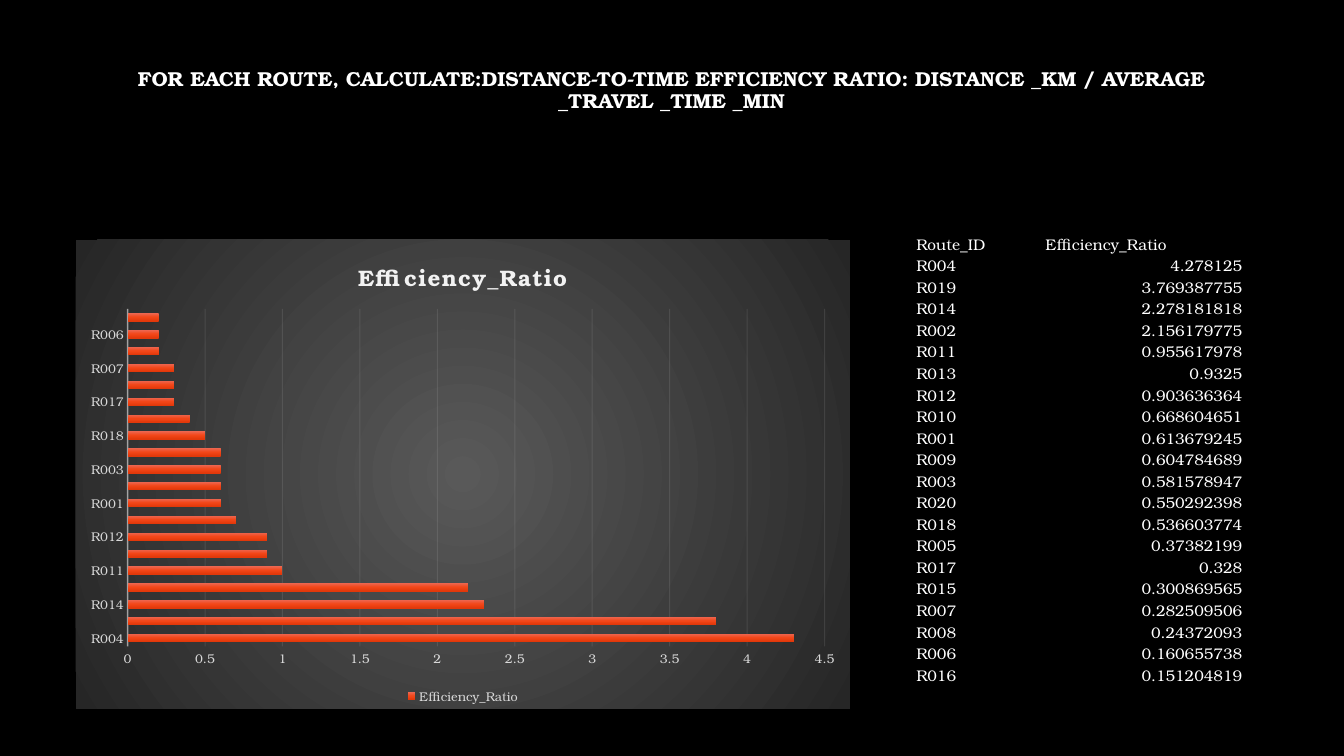
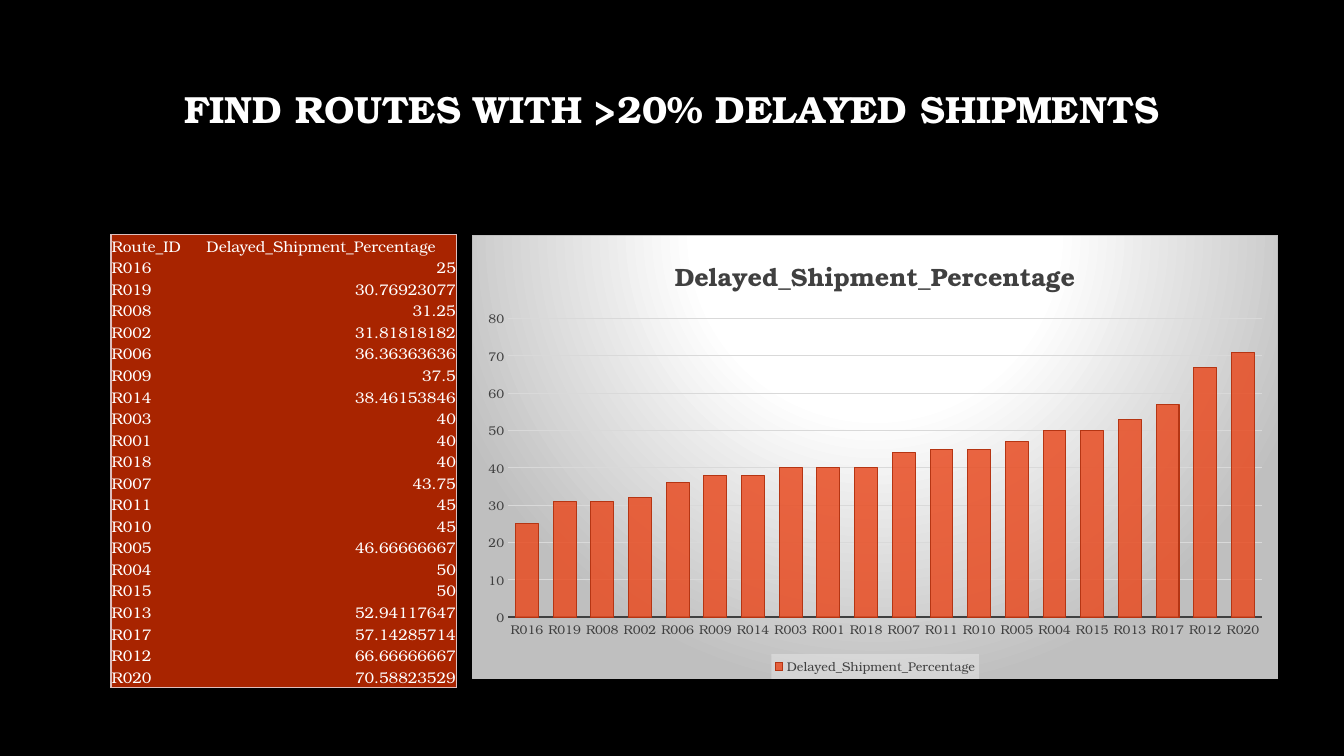
from dataclasses import dataclass

from pptx import Presentation
from pptx.chart.data import CategoryChartData
from pptx.dml.color import RGBColor
from pptx.enum.chart import XL_CHART_TYPE, XL_LEGEND_POSITION, XL_TICK_MARK
from pptx.enum.text import MSO_ANCHOR, MSO_AUTO_SIZE, PP_ALIGN
from pptx.oxml import parse_xml
from pptx.oxml.ns import nsdecls, qn
from pptx.util import Inches, Pt

BAR, COLUMN = XL_CHART_TYPE.BAR_CLUSTERED, XL_CHART_TYPE.COLUMN_CLUSTERED
BOTTOM_LEGEND = XL_LEGEND_POSITION.BOTTOM
NO_TICK = XL_TICK_MARK.NONE
MIDDLE, BOTTOM = MSO_ANCHOR.MIDDLE, MSO_ANCHOR.BOTTOM
NO_AUTOFIT = MSO_AUTO_SIZE.NONE
LEFT, CENTER, RIGHT = PP_ALIGN.LEFT, PP_ALIGN.CENTER, PP_ALIGN.RIGHT
PLAIN_TABLE = "{2D5ABB26-0587-4C30-8999-92F81FD0307C}"


@dataclass(frozen=True)
class Theme:
    font: str = "TeX Gyre Bonum"
    background: str = "000000"
    text: str = "FFFFFF"
    table_fill: str = "A82400"
    table_border: str = "DDBEBD"
    pale: str = "F2F2F2"
    label_light: str = "D9D9D9"
    label_dark: str = "404040"
    chart_border: str = "BFBFBF"
    bar: str = "E84C22"
    bar_line: str = "B53513"
    table_size: float = 11
    chart_size: float = 10
    label_size: float = 9


theme = Theme()


def write(frame, text, *, size, color=theme.text, bold=False, align=LEFT, line_spacing=None, tracking=0):
    paragraph = frame.paragraphs[0]
    paragraph.alignment = align
    if line_spacing:
        paragraph.line_spacing = line_spacing
    run = paragraph.add_run()
    run.text = text
    run.font.name = theme.font
    run.font.size = Pt(size)
    run.font.bold = bold
    run.font.color.rgb = RGBColor.from_string(color)
    if tracking:
        run.font._element.set("spc", str(tracking))


def make_fill(*stops, alpha=100, direction=""):
    colors = [
        f'<a:srgbClr val="{color}"><a:alpha val="{alpha * 1000}"/></a:srgbClr>' for _, color in stops
    ]
    if len(stops) == 1:
        return parse_xml(f'<a:solidFill {nsdecls("a")}>{colors[0]}</a:solidFill>')
    marks = "".join(
        f'<a:gs pos="{place * 1000}">{color}</a:gs>' for (place, _), color in zip(stops, colors)
    )
    return parse_xml(
        f'<a:gradFill {nsdecls("a")} rotWithShape="1"><a:gsLst>{marks}</a:gsLst>{direction}</a:gradFill>'
    )


efficiency = {
    "R004": 4.278125, "R019": 3.769387755, "R014": 2.278181818, "R002": 2.156179775,
    "R011": 0.955617978, "R013": 0.9325, "R012": 0.903636364, "R010": 0.668604651,
    "R001": 0.613679245, "R009": 0.604784689, "R003": 0.581578947, "R020": 0.550292398,
    "R018": 0.536603774, "R005": 0.37382199, "R017": 0.328, "R015": 0.300869565,
    "R007": 0.282509506, "R008": 0.24372093, "R006": 0.160655738, "R016": 0.151204819,
}
delays = {
    "R016": 25, "R019": 30.76923077, "R008": 31.25, "R002": 31.81818182,
    "R006": 36.36363636, "R009": 37.5, "R014": 38.46153846, "R003": 40,
    "R001": 40, "R018": 40, "R007": 43.75, "R011": 45, "R010": 45,
    "R005": 46.66666667, "R004": 50, "R015": 50, "R013": 52.94117647,
    "R017": 57.14285714, "R012": 66.66666667, "R020": 70.58823529,
}

CIRCLE = '<a:path path="circle"><a:fillToRect l="50000" t="{}" r="50000" b="{}"/></a:path>'
DOWNWARD = '<a:lin ang="5400000" scaled="0"/>'

topics = [
    dict(
        title="FOR EACH ROUTE, CALCULATE:DISTANCE-TO-TIME EFFICIENCY RATIO: "
              "DISTANCE _KM / AVERAGE _TRAVEL _TIME _MIN",
        title_size=14.4, title_bottom=1.03, measure="Efficiency_Ratio", routes=efficiency, digits=1,
        table_at=(9.08, 2.31, 3.25, 4.04), columns=(1.28, 1.97), framed=False,
        kind=BAR, chart_at=(0.75, 2.38, 7.68, 4.65), heading_size=16, tracking=100,
        heading_color=theme.pale, label_color=theme.label_light,
        axis=(theme.pale, 54, 1), grid=(theme.pale, 10), top=4.5, step=0.5, gap=115, overlap=-20,
        backdrop=make_fill((0, "595959"), (100, "262626"), direction=CIRCLE.format(50000, 50000)),
        bars=make_fill((0, "ED6650"), (50, "F24618"), (100, "E2380A"), direction=DOWNWARD),
    ),
    dict(
        title="FIND ROUTES WITH >20% DELAYED SHIPMENTS",
        title_size=27, title_bottom=0.64, measure="Delayed_Shipment_Percentage", routes=delays, digits=0,
        table_at=(1.1, 2.33, 3.43, 4.04), columns=(0.94, 2.49), framed=True,
        kind=COLUMN, chart_at=(4.68, 2.33, 8, 4.41), heading_size=18, tracking=0,
        heading_color=theme.label_dark, label_color=theme.label_dark,
        axis=(theme.label_dark, 100, 1.5), grid=(theme.label_light, 100), top=80, step=10, gap=65, overlap=0,
        backdrop=make_fill((0, "FFFFFF"), (39, "FFFFFF"), (100, "BFBFBF"),
                           direction=CIRCLE.format(-80000, 180000)),
        bars=make_fill((0, theme.bar), alpha=85),
    ),
]

prs = Presentation()
prs.slide_width, prs.slide_height = Inches(13.33), Inches(7.5)
master_fill = prs.slide_master.background.fill
master_fill.solid()
master_fill.fore_color.rgb = RGBColor.from_string(theme.background)

for topic in topics:
    slide = prs.slides.add_slide(prs.slide_layouts[5])
    title = slide.shapes.title
    title.left, title.top, title.width, title.height = map(Inches, (1, 0.67, 11.32, 1.45))
    title_frame = title.text_frame
    title_frame.word_wrap = True
    title_frame.auto_size = NO_AUTOFIT
    title_frame.vertical_anchor = MIDDLE
    title_frame.margin_bottom = Inches(topic["title_bottom"])
    write(title_frame, topic["title"], size=topic["title_size"], bold=True, align=CENTER, line_spacing=0.9)

    rows = [("Route_ID", topic["measure"]), *topic["routes"].items()]
    table = slide.shapes.add_table(len(rows), 2, *map(Inches, topic["table_at"])).table
    table.first_row = table.horz_banding = False
    table._tbl.tblPr.find(qn("a:tableStyleId")).text = PLAIN_TABLE
    for column, width in zip(table.columns, topic["columns"]):
        column.width = Inches(width)
    for r, row in enumerate(rows):
        for c, value in enumerate(row):
            cell = table.cell(r, c)
            cell.margin_left = cell.margin_right = cell.margin_top = Pt(0.6)
            cell.margin_bottom = 0
            cell.vertical_anchor = BOTTOM
            write(cell.text_frame, str(value), size=theme.table_size, align=RIGHT if r and c else LEFT)
            if not topic["framed"]:
                cell.fill.background()
                continue
            cell.fill.solid()
            cell.fill.fore_color.rgb = RGBColor.from_string(theme.table_fill)
            edges = {"lnL": c == 0, "lnR": c == 1, "lnT": r == 0, "lnB": r == len(rows) - 1}
            for place, edge in enumerate(edge for edge, outer in edges.items() if outer):
                border = parse_xml(f'<a:{edge} {nsdecls("a")} w="{Pt(1)}"/>')
                border.append(make_fill((0, theme.table_border)))
                cell._tc.get_or_add_tcPr().insert(place, border)

    chart_data = CategoryChartData()
    chart_data.categories = list(topic["routes"])
    chart_data.add_series(
        topic["measure"], [round(value, topic["digits"]) for value in topic["routes"].values()]
    )
    chart = slide.shapes.add_chart(topic["kind"], *map(Inches, topic["chart_at"]), chart_data).chart
    chart.font.name = theme.font
    chart.font.size = Pt(theme.chart_size)
    chart.font.color.rgb = RGBColor.from_string(theme.text)
    chart.has_title = True
    write(chart.chart_title.text_frame, topic["measure"], size=topic["heading_size"],
          color=topic["heading_color"], bold=True, align=CENTER, tracking=topic["tracking"])

    backdrop = parse_xml(f'<c:spPr {nsdecls("c", "a")}><a:ln w="{Pt(0.75)}"/></c:spPr>')
    backdrop.insert(0, topic["backdrop"])
    outline = make_fill((0, theme.chart_border)) if topic["framed"] else parse_xml(f'<a:noFill {nsdecls("a")}/>')
    backdrop[1].append(outline)
    chart._chartSpace.chart.addnext(backdrop)

    plot = chart.plots[0]
    plot.vary_by_categories = False
    plot.gap_width = topic["gap"]
    plot.overlap = topic["overlap"]
    series = plot.series[0]
    series.invert_if_negative = False
    series._element.get_or_add_spPr().insert(0, topic["bars"])
    if topic["framed"]:
        series.format.line.width = Pt(0.75)
        series.format.line.color.rgb = RGBColor.from_string(theme.bar_line)

    routes_axis, values_axis = chart.category_axis, chart.value_axis
    routes_axis.major_tick_mark = values_axis.major_tick_mark = NO_TICK
    axis_color, axis_alpha, axis_width = topic["axis"]
    grid_color, grid_alpha = topic["grid"]
    values_axis.minimum_scale, values_axis.maximum_scale = 0, topic["top"]
    values_axis.major_unit = topic["step"]
    values_axis.format.line.fill.background()
    for line, color, alpha, width in (
        (routes_axis.format.line, axis_color, axis_alpha, axis_width),
        (values_axis.major_gridlines.format.line, grid_color, grid_alpha, 0.75),
    ):
        line.width = Pt(width)
        line._get_or_add_ln().insert(0, make_fill((0, color), alpha=alpha))

    chart.has_legend = True
    legend = chart.legend
    legend.position = BOTTOM_LEGEND
    legend.include_in_layout = False
    if topic["framed"]:
        legend_box = parse_xml(f'<c:spPr {nsdecls("c", "a")}/>')
        legend_box.append(make_fill((0, theme.pale), alpha=39))
        legend._element.find(qn("c:overlay")).addnext(legend_box)
    for font in (routes_axis.tick_labels.font, values_axis.tick_labels.font, legend.font):
        font.name = theme.font
        font.size = Pt(theme.label_size)
        font.color.rgb = RGBColor.from_string(topic["label_color"])

prs.save("out.pptx")
